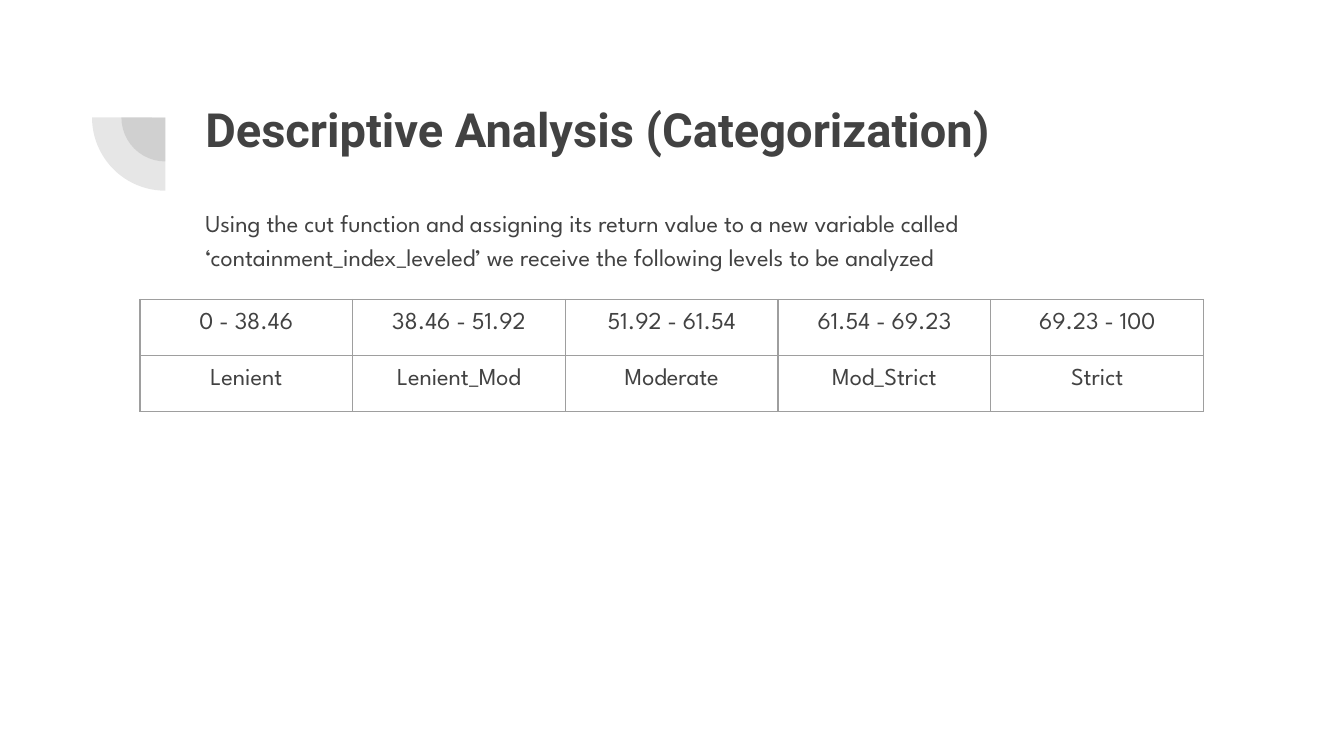
from lxml import etree
from pptx import Presentation
from pptx.dml.color import RGBColor
from pptx.enum.shapes import MSO_SHAPE
from pptx.enum.text import MSO_ANCHOR, PP_ALIGN
from pptx.oxml.ns import qn
from pptx.util import Inches, Pt

PIE = MSO_SHAPE.PIE
TOP = MSO_ANCHOR.TOP
LEFT, CENTER = PP_ALIGN.LEFT, PP_ALIGN.CENTER

WIDTH = 10
HEIGHT = WIDTH * 9 / 16
INK, RULE = "424242", "9E9E9E"
INSET = 0.1
TITLE = {"name": "Roboto", "size": Pt(25.2), "bold": True}
BODY = {"name": "League Spartan", "size": Pt(13), "bold": False}
LEVELS = [
    ["0 - 38.46", "38.46 - 51.92", "51.92 - 61.54", "61.54 - 69.23", "69.23 - 100"],
    ["Lenient", "Lenient_Mod", "Moderate", "Mod_Strict", "Strict"],
]


def color(value):
    return RGBColor.from_string(value)


def percent(left, top, width, height):
    across, down = WIDTH / 100, HEIGHT / 100
    return left * across, top * down, width * across, height * down


def write(frame, text, style, align=LEFT, spacing=1.0):
    para = frame.paragraphs[0]
    para.alignment, para.line_spacing = align, spacing
    span = para.add_run()
    span.text = text
    for name, value in style.items():
        setattr(span.font, name, value)
    span.font.color.rgb = color(INK)


def set_margins(target):
    for side in ("left", "right", "top", "bottom"):
        setattr(target, f"margin_{side}", Inches(INSET))


def add_text(page, box, text, style, spacing=1.0):
    frame = page.shapes.add_textbox(*map(Inches, box)).text_frame
    frame.word_wrap = True
    frame.vertical_anchor = TOP
    set_margins(frame)
    write(frame, text, style, spacing=spacing)


def add_quarter_rings(page, box):
    left, top, size, _ = box
    for scale in (0.6, 1):
        inset = size * (1 - scale) / 2
        bounds = (left + inset, top + inset, size * scale, size * scale)
        pie = page.shapes.add_shape(PIE, *map(Inches, bounds))
        pie.adjustments[0], pie.adjustments[1] = 108, 162
        pie.rotation = 270
        pie.shadow.inherit = False
        pie.fill.solid()
        pie.fill.fore_color.rgb = color(INK)
        shade = pie.fill._xPr.find(f".//{qn('a:srgbClr')}")
        etree.SubElement(shade, qn("a:alpha"), val="13000")
        pie.line.fill.background()


def add_borders(cell):
    properties = cell._tc.get_or_add_tcPr()
    for side in ("lnL", "lnR", "lnT", "lnB"):
        line = etree.SubElement(properties, qn(f"a:{side}"), w=str(Pt(0.75)))
        fill = etree.SubElement(line, qn("a:solidFill"))
        etree.SubElement(fill, qn("a:srgbClr"), val=RULE)


def add_levels_table(page, box, rows):
    frame = page.shapes.add_table(len(rows), len(rows[0]), *map(Inches, box))
    table = frame.table
    table.first_row = table.horz_banding = False
    for row, texts in enumerate(rows):
        for column, text in enumerate(texts):
            cell = table.cell(row, column)
            set_margins(cell)
            cell.vertical_anchor = TOP
            add_borders(cell)
            cell.fill.background()
            write(cell.text_frame, text, BODY, CENTER)


def build_slide(deck):
    page = deck.slides.add_slide(deck.slide_layouts[6])
    page.background.fill.solid()
    page.background.fill.fore_color.rgb = color("FFFFFF")
    add_quarter_rings(page, percent(6.85, 5.85, 10.9, 19.38))
    add_text(page, percent(14.29, 11.56, 76.9, 19.38),
             "Descriptive Analysis (Categorization)", TITLE)
    add_text(page, percent(14.29, 25.24, 76.9, 49.42),
             "Using the cut function and assigning its return value to a new variable "
             "called ‘containment_index_leveled’ we receive the following levels "
             "to be analyzed", BODY, 1.15)
    add_levels_table(page, percent(10.41, 39.6, 79.15, 14.8), LEVELS)


def main():
    deck = Presentation()
    deck.slide_width, deck.slide_height = Inches(WIDTH), Inches(HEIGHT)
    build_slide(deck)
    deck.save("out.pptx")


if __name__ == "__main__":
    main()
